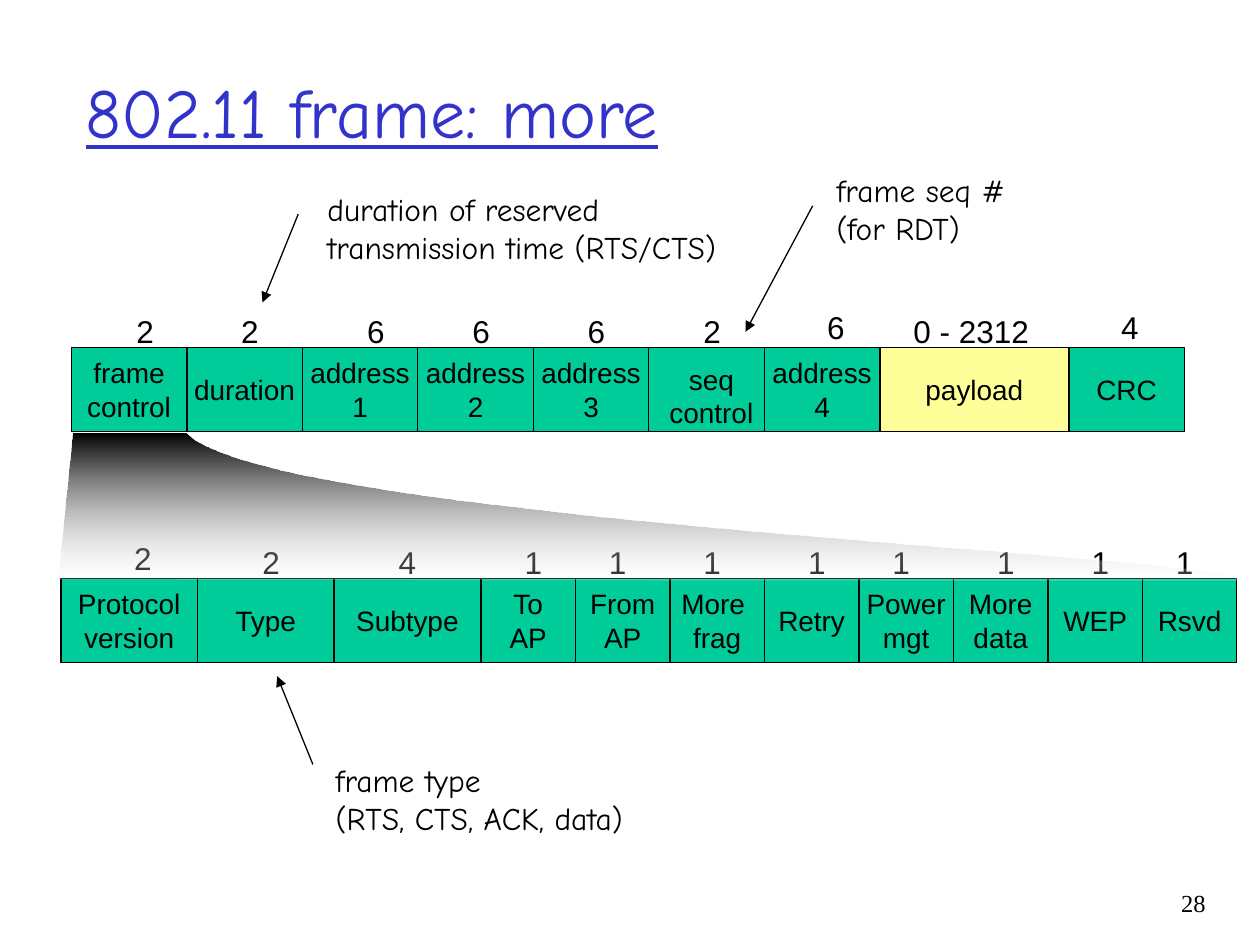
from lxml import etree
from pptx import Presentation, util as u
from pptx.dml.color import RGBColor
from pptx.enum import shapes, text
from pptx.oxml import ns

BLACK = RGBColor(0x00, 0x00, 0x00)
WHITE = RGBColor(0xFF, 0xFF, 0xFF)
GREEN = RGBColor(0x00, 0xCC, 0x99)
YELLOW = RGBColor(0xFF, 0xFF, 0x99)
BLUE = RGBColor(0x33, 0x33, 0xCC)

# The slide is a grid of 120 columns by 90 rows
WIDTH, HEIGHT = u.Inches(10), u.Inches(7.5)
UNIT = WIDTH / 120
FIELD_HEIGHT = 8
COUNT_RISE = 4

# Each field: label, width, count, count offset from the row's left, extra rise
FRAME_FIELDS = [
    ("frame\ncontrol", 11, "2", 5, 0),
    ("duration", 11, "2", 15, 0),
    ("address\n1", 11, "6", 27, 0),
    ("address\n2", 11, "6", 37, 0),
    ("address\n3", 11, "6", 48, 0),
    ("", 11, "2", 59, 0),
    ("address\n4", 11, "6", 70.8, 0.4),
    ("payload", 18, "0 - 2312", 79, 0),
    ("CRC", 11, "4", 98.8, 0.4),
]
CONTROL_FIELDS = [
    ("Protocol\nversion", 13, "2", 5.8, 0.4),
    ("Type", 13, "2", 18, 0),
    ("Subtype", 14, "4", 31, 0),
    ("To\nAP", 9, "1", 43, 0),
    ("From\nAP", 9, "1", 51, 0),
    ("More \nfrag", 9, "1", 60, 0),
    ("Retry", 9, "1", 70, 0),
    ("Power\nmgt", 9, "1", 78, 0),
    ("More\ndata", 9, "1", 88, 0),
    ("WEP", 9, "1", 97, 0),
    ("Rsvd", 9, "1", 105, 0),
]
# Each note: text, box, arrow start, arrow end
NOTES = [
    ("duration of reserved\ntransmission time (RTS/CTS)",
     (30, 17.5, 39.5, 8.4), (28.4, 20.4), (25, 28.8)),
    ("frame seq #\n(for RDT)",
     (78.5, 15.7, 18.5, 8.4), (77.4, 19.6), (71, 31.6)),
    ("frame type\n(RTS, CTS, ACK, data)",
     (30.8, 71.9, 29.8, 8.4), (29.8, 72.8), (26.4, 64.4)),
]


def grid(*lengths):
    return [u.Emu(round(length * UNIT)) for length in lengths]


def write(frame, words, size, font, color=BLACK, align=text.PP_ALIGN.LEFT):
    frame.text = words
    for paragraph in frame.paragraphs:
        paragraph.alignment = align
        for run in paragraph.runs:
            run.font.size = u.Pt(size)
            run.font.name = font
            run.font.color.rgb = color


def add_label(parent, box, words, size, font, wrap=False, **style):
    label = parent.add_textbox(*grid(*box))
    frame = label.text_frame
    write(frame, words, size, font, **style)
    frame.word_wrap = wrap
    if not wrap:
        frame.auto_size = text.MSO_AUTO_SIZE.SHAPE_TO_FIT_TEXT
    return label


def add_field(parent, box, words):
    field = parent.add_shape(shapes.MSO_SHAPE.RECTANGLE, *grid(*box))
    field.shadow.inherit = False
    field.fill.solid()
    field.fill.fore_color.rgb = YELLOW if words == "payload" else GREEN
    field.line.color.rgb = BLACK
    field.line.width = u.Pt(0.75)
    if words:
        frame = field.text_frame
        write(frame, words, 16, "Arial", align=text.PP_ALIGN.CENTER)
        frame.word_wrap = False
        frame.vertical_anchor = text.MSO_ANCHOR.MIDDLE


def add_field_row(slide, left, top, fields):
    """Fields side by side, with their sizes above; returns the row's shapes."""
    row = slide.shapes.add_group_shape().shapes
    field_left = left
    for words, width, *_ in fields:
        add_field(row, (field_left, top, width, FIELD_HEIGHT), words)
        field_left += width
    for _, _, count, offset, rise in fields:
        width = 4.1 if len(count) == 1 else 13.8
        box = (left + offset, top - COUNT_RISE - rise, width, 4.8)
        add_label(row, box, count, 18, "Arial")
    return row


def curve(*corners, steps=40):
    """Points along a cubic curve through four control corners, after its start."""
    for step in range(1, steps + 1):
        t = step / steps
        weights = ((1 - t) ** 3, 3 * t * (1 - t) ** 2, 3 * t ** 2 * (1 - t), t ** 3)
        yield grid(*(sum(w * c for w, c in zip(weights, axis))
                     for axis in zip(*corners)))


def add_zoom_wedge(slide):
    """Shaded wedge that opens frame control into its own fields."""
    bottom_right = (118, 55.3)
    builder = slide.shapes.build_freeform(*grid(7, 41.3))
    edge = curve(bottom_right, (120, 52.9), (25.9, 49.8), (17.8, 41.3))
    builder.add_line_segments([grid(5.6, 55.1), grid(*bottom_right), *edge])
    wedge = builder.convert_to_shape()
    wedge.shadow.inherit = False
    wedge.line.fill.background()
    wedge.fill.gradient()
    wedge.fill.gradient_angle = 270
    for stop, color, position in zip(wedge.fill.gradient_stops, (BLACK, WHITE), (0, 1)):
        stop.color.rgb = color
        stop.position = position
    # The lower end is mostly transparent
    pale = wedge.element.spPr.findall(".//" + ns.qn("a:srgbClr"))[-1]
    etree.SubElement(pale, ns.qn("a:alpha"), val="18000")


def add_arrow(slide, start, end):
    arrow = slide.shapes.add_connector(shapes.MSO_CONNECTOR.STRAIGHT, *grid(*start, *end))
    arrow.line.color.rgb = BLACK
    arrow.line.width = u.Pt(0.75)
    properties = arrow.element.spPr
    etree.SubElement(properties.find(ns.qn("a:ln")), ns.qn("a:tailEnd"), type="triangle")
    etree.SubElement(properties, ns.qn("a:effectLst"))


def main():
    deck = Presentation()
    deck.slide_width, deck.slide_height = WIDTH, HEIGHT
    slide = deck.slides.add_slide(deck.slide_layouts[6])

    # Whole frame; the seq control label sits slightly low in its field
    frame_row = add_field_row(slide, 6.8, 33.1, FRAME_FIELDS)
    add_label(frame_row, (62.3, 33.9, 10.9, 7.7), "seq\ncontrol", 16, "Arial",
              align=text.PP_ALIGN.CENTER)

    # Frame control in detail
    add_field_row(slide, 5.8, 55.1, CONTROL_FIELDS)
    add_zoom_wedge(slide)

    # Title
    title = add_label(slide.shapes, (7, 3, 102, 15), "802.11 frame: more", 40,
                      "Comic Neue", wrap=True, color=BLUE)
    title.text_frame.vertical_anchor = text.MSO_ANCHOR.MIDDLE
    title.text_frame.paragraphs[0].runs[0].font.underline = True

    # Notes with arrows
    for words, box, start, end in NOTES:
        add_label(slide.shapes, box, words, 18, "Comic Neue")
        add_arrow(slide, start, end)

    # Slide number
    add_label(slide.shapes, (107.1, 84, 8.9, 6), "28", 14, "Times New Roman",
              wrap=True, align=text.PP_ALIGN.RIGHT)

    deck.save("out.pptx")


if __name__ == "__main__":
    main()
